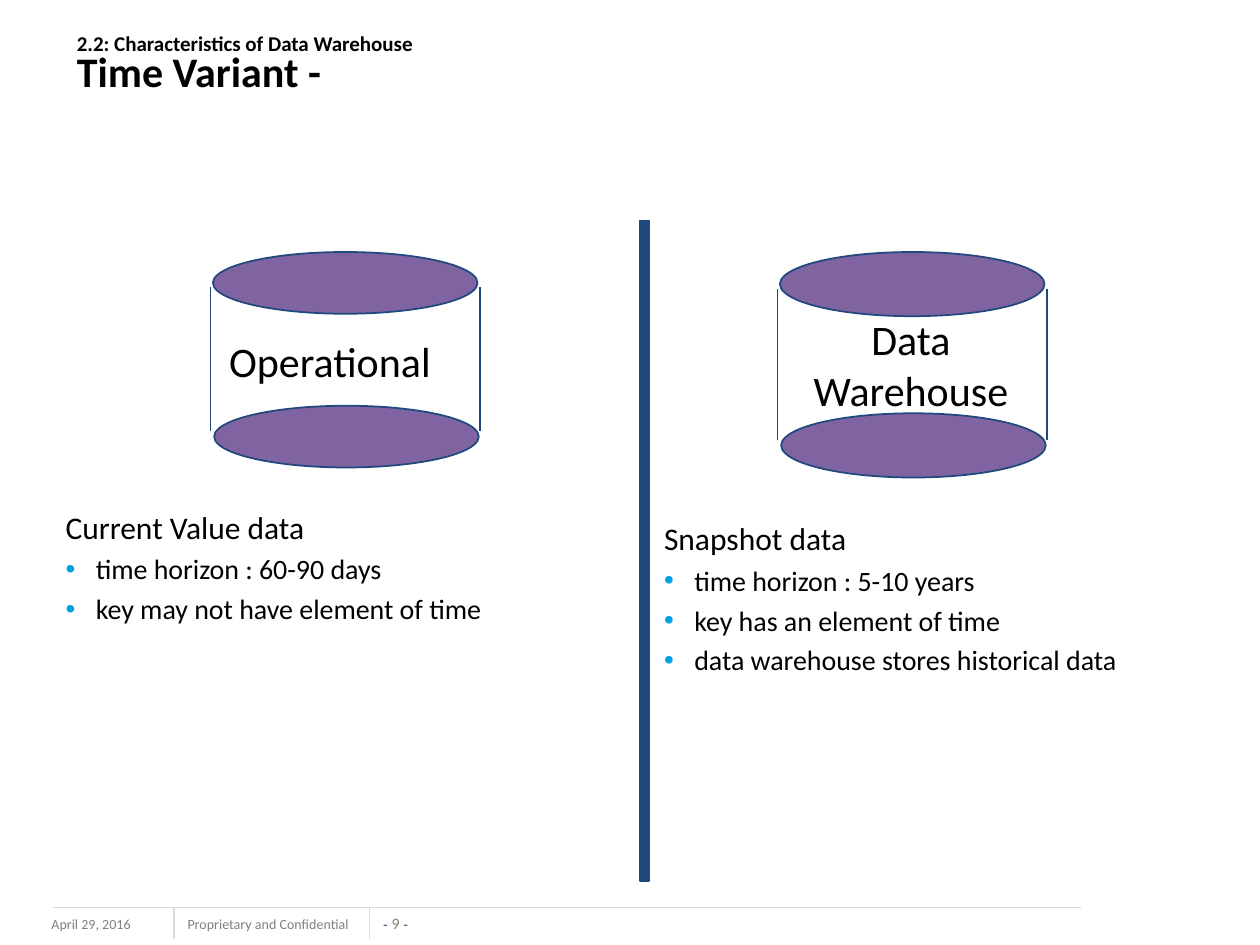
from lxml import etree
from pptx import Presentation
from pptx.dml.color import RGBColor
from pptx.enum.shapes import MSO_CONNECTOR, MSO_SHAPE
from pptx.enum.text import MSO_ANCHOR, MSO_AUTO_SIZE, PP_ALIGN
from pptx.oxml.ns import qn
from pptx.util import Inches, Pt

STRAIGHT = MSO_CONNECTOR.STRAIGHT
ELLIPSE, RECTANGLE = MSO_SHAPE.OVAL, MSO_SHAPE.RECTANGLE
LEFT, CENTER = PP_ALIGN.LEFT, PP_ALIGN.CENTER
MIDDLE, TOP, BOTTOM = MSO_ANCHOR.MIDDLE, MSO_ANCHOR.TOP, MSO_ANCHOR.BOTTOM
NO_AUTOFIT = MSO_AUTO_SIZE.NONE

NAVY, PURPLE, GRAY, RULE, BLACK = "1F497D", "8064A2", "808080", "D9D9D9", "000000"
BULLET = "00A1E4"


def paint(color_format, hex_color):
    color_format.rgb = RGBColor.from_string(hex_color)


def style(run, size, color=BLACK, font="Calibri", bold=False):
    run.font.size = Pt(size)
    run.font.name = font
    run.font.bold = bold
    paint(run.font.color, color)


prs = Presentation()
prs.slide_width, prs.slide_height = Inches(10), Inches(7.5)
slide = prs.slides.add_slide(prs.slide_layouts[3])
shapes = slide.shapes

title = shapes.title
title.left, title.top = Inches(0.51), Inches(0.13)
title.width, title.height = Inches(8.92), Inches(0.78)
title.text_frame.auto_size = NO_AUTOFIT
title.text_frame.vertical_anchor = MIDDLE
heading = title.text_frame.paragraphs[0]
heading.text = "2.2: Characteristics of Data Warehouse \vTime Variant -"
heading.alignment = LEFT
heading.line_spacing = 0.8
for run, size in zip(heading.runs, (12, 24)):
    style(run, size, bold=True)

rules = [
    (0.42, 7.2, 8.58, 7.2, RULE, 0.75),
    (1.38, 7.2, 1.38, 7.45, RULE, 0.75),
    (2.93, 7.2, 2.93, 7.45, RULE, 0.75),
]
ellipses = []
for left, height, bottom_top, side_top, side_bottom in (
    (1.69, 0.49, 3.22, 2.28, 3.42),
    (6.19, 0.51, 3.28, 2.29, 3.49),
):
    ellipses += [(left, 2, height), (left + 0.01, bottom_top, height)]
    for x in (left - 0.02, left + 2.12):
        rules.append((x, side_top, x, side_bottom, NAVY, 1))

solids = [(ELLIPSE, left, top, 2.1, height, PURPLE) for left, top, height in ellipses]
solids.append((RECTANGLE, 5.08, 1.75, 0.07, 5.24, NAVY))
for kind, left, top, width, height, color in solids:
    solid = shapes.add_shape(kind, Inches(left), Inches(top), Inches(width), Inches(height))
    solid.shadow.inherit = False
    solid.fill.solid()
    paint(solid.fill.fore_color, color)
    paint(solid.line.color, NAVY)
    solid.line.width = Pt(1)

for x1, y1, x2, y2, color, weight in rules:
    rule = shapes.add_connector(STRAIGHT, Inches(x1), Inches(y1), Inches(x2), Inches(y2))
    paint(rule.line.color, color)
    rule.line.width = Pt(weight)
    etree.SubElement(rule._element.spPr, qn("a:effectLst"))

for text, left, top, width, height, size, color, align in (
    ("Operational", 1.72, 2.61, 1.89, 0.51, 24, BLACK, LEFT),
    ("Data\nWarehouse", 6.32, 2.44, 1.82, 0.91, 24, BLACK, CENTER),
    ("April 29, 2016", 0.31, 7.22, 1.33, 0.25, 8, GRAY, LEFT),
    ("Proprietary and Confidential", 1.39, 7.22, 1.57, 0.24, 8, GRAY, LEFT),
):
    label = shapes.add_textbox(Inches(left), Inches(top), Inches(width), Inches(height))
    label.text_frame.text = text
    label.text_frame.word_wrap = False
    for paragraph in label.text_frame.paragraphs:
        paragraph.alignment = align
        style(paragraph.runs[0], size, color)

page = shapes.add_textbox(Inches(3.01), Inches(7.25), Inches(0.26), Inches(0.15)).text_frame
page.margin_left = page.margin_right = page.margin_top = page.margin_bottom = 0
page.vertical_anchor = BOTTOM
page.word_wrap = False
page.paragraphs[0].alignment = CENTER
for text, size, color, font in (
    ("- ", 8, NAVY, "Arial"),
    ("9 ", 9, GRAY, "Calibri"),
    ("-", 8, NAVY, "Arial"),
):
    run = page.paragraphs[0].add_run()
    run.text = text
    style(run, size, color, font)

columns = (
    (0.42, 3.98, 4.92, 1.09, (
        "Current Value data",
        "time horizon : 60-90 days",
        "key may not have element of time",
    )),
    (5.17, 4.07, 4.83, 1.41, (
        "Snapshot data",
        "time horizon : 5-10 years",
        "key has an element of time",
        "data warehouse stores historical data",
    )),
)
for body, (left, top, width, height, lines) in zip(list(slide.placeholders)[1:], columns):
    body.left, body.top = Inches(left), Inches(top)
    body.width, body.height = Inches(width), Inches(height)
    frame = body.text_frame
    frame.auto_size = NO_AUTOFIT
    frame.vertical_anchor = TOP
    frame.text = "\n".join(lines)
    for index, paragraph in enumerate(frame.paragraphs):
        is_item = index > 0
        style(paragraph.runs[0], 16 if is_item else 18)
        paragraph.space_before = Pt(3.6 if is_item else 0)
        properties = paragraph._p.get_or_add_pPr()
        indent = Inches(0.24) if is_item else 0
        properties.set("marL", str(indent))
        properties.set("indent", str(-indent))
        if is_item:
            bullet_color = etree.SubElement(properties, qn("a:buClr"))
            etree.SubElement(bullet_color, qn("a:srgbClr"), val=BULLET)
            etree.SubElement(properties, qn("a:buChar"), char="•")
        else:
            etree.SubElement(properties, qn("a:buNone"))

prs.save("out.pptx")
